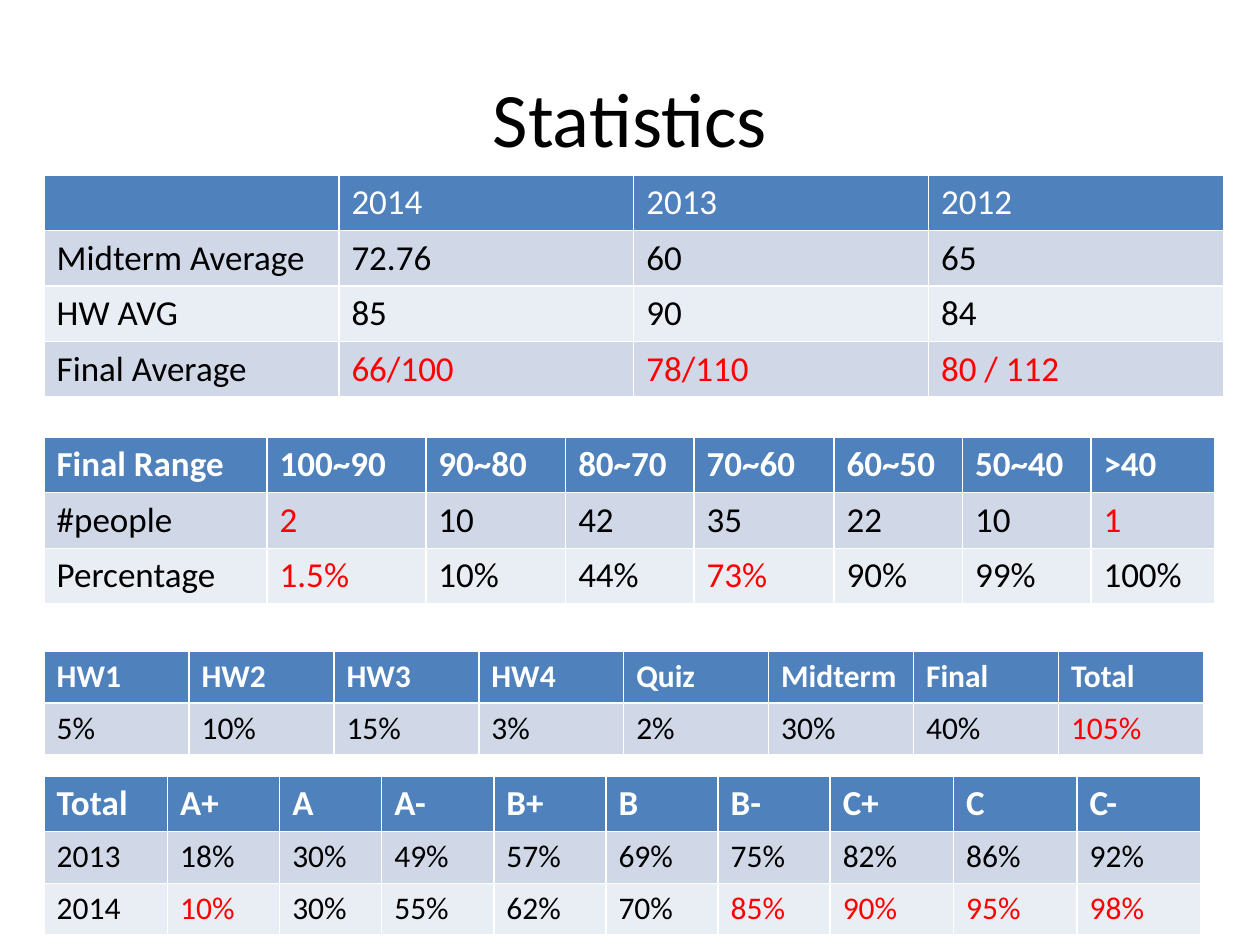
from pptx import Presentation
from pptx.dml.color import RGBColor
from pptx.enum.text import MSO_ANCHOR, PP_ALIGN
from pptx.util import Inches, Pt

CENTER = PP_ALIGN.CENTER
MIDDLE = MSO_ANCHOR.MIDDLE

BLACK = RGBColor(0x00, 0x00, 0x00)
WHITE = RGBColor(0xFF, 0xFF, 0xFF)
RED = RGBColor(0xFF, 0x00, 0x00)
HEADER_BLUE = RGBColor(0x4F, 0x81, 0xBD)
BAND_DARK = RGBColor(0xD0, 0xD8, 0xE8)
BAND_LIGHT = RGBColor(0xE9, 0xED, 0xF4)

FONT = "Calibri"
LEFT = 0.35

AVERAGES = [
    ["", "2014", "2013", "2012"],
    ["Midterm Average", "72.76", "60", "65"],
    ["HW AVG", "85", "90", "84"],
    ["Final Average", "66/100", "78/110", "80 / 112"],
]
FINAL_RANGES = [
    ["Final Range", "100~90", "90~80", "80~70", "70~60", "60~50", "50~40", ">40"],
    ["#people", "2", "10", "42", "35", "22", "10", "1"],
    ["Percentage", "1.5%", "10%", "44%", "73%", "90%", "99%", "100%"],
]
WEIGHTS = [
    ["HW1", "HW2", "HW3", "HW4", "Quiz", "Midterm", "Final", "Total"],
    ["5%", "10%", "15%", "3%", "2%", "30%", "40%", "105%"],
]
GRADES = [
    ["Total", "A+", "A", "A-", "B+", "B", "B-", "C+", "C", "C-"],
    ["2013", "18%", "30%", "49%", "57%", "69%", "75%", "82%", "86%", "92%"],
    ["2014", "10%", "30%", "55%", "62%", "70%", "85%", "90%", "95%", "98%"],
]


def format_text(text_frame, size, color, bold=False):
    """Apply one font style to every run of a text frame."""
    for paragraph in text_frame.paragraphs:
        for run in paragraph.runs:
            run.font.name = FONT
            run.font.size = Pt(size)
            run.font.color.rgb = color
            run.font.bold = bold


def place_title(slide, text, left, top, width, height):
    """Fill and position the title placeholder."""
    title = slide.shapes.title
    title.left, title.top = Inches(left), Inches(top)
    title.width, title.height = Inches(width), Inches(height)
    title.text_frame.text = text
    title.text_frame.vertical_anchor = MIDDLE
    title.text_frame.paragraphs[0].alignment = CENTER
    format_text(title.text_frame, 44, BLACK)


def add_statistics_table(slide, rows, top, widths, heights, red_cells,
                         header_size=20, body_size=20, header_bold=True):
    """Add a banded table whose red_cells are (row, column) pairs."""
    table = slide.shapes.add_table(
        len(rows), len(widths), Inches(LEFT), Inches(top),
        Inches(sum(widths)), Inches(sum(heights))).table
    for column, width in zip(table.columns, widths):
        column.width = Inches(width)
    for row_index, (values, height) in enumerate(zip(rows, heights)):
        table.rows[row_index].height = Inches(height)
        is_header = row_index == 0
        band = BAND_DARK if row_index % 2 else BAND_LIGHT
        for column_index, value in enumerate(values):
            cell = table.cell(row_index, column_index)
            cell.fill.solid()
            cell.fill.fore_color.rgb = HEADER_BLUE if is_header else band
            cell.text_frame.text = value
            if is_header:
                format_text(cell.text_frame, header_size, WHITE, header_bold)
            else:
                is_red = (row_index, column_index) in red_cells
                format_text(cell.text_frame, body_size, RED if is_red else BLACK)


def build_statistics_slide(presentation):
    """Add the slide with its title and four tables."""
    slide = presentation.slides.add_slide(presentation.slide_layouts[5])
    place_title(slide, "Statistics", 0, 0.3, 10, 1.25)
    add_statistics_table(
        slide, FINAL_RANGES, 3.47,
        [1.77, 1.26, 1.11, 1.02, 1.11, 1.02, 1.02, 0.98], [0.44] * 3,
        {(1, 1), (1, 7), (2, 1), (2, 4)})
    add_statistics_table(
        slide, AVERAGES, 1.39, [2.34] * 4, [0.44] * 4,
        {(3, 1), (3, 2), (3, 3)}, header_bold=False)
    add_statistics_table(
        slide, WEIGHTS, 5.17, [1.15] * 8, [0.41] * 2, {(1, 7)},
        header_size=18, body_size=18)
    add_statistics_table(
        slide, GRADES, 6.16,
        [0.98, 0.89, 0.81] + [0.89] * 4 + [0.98] * 3, [0.43, 0.41, 0.41],
        {(2, column) for column in (1, 6, 7, 8, 9)}, body_size=18)


def main():
    """Build and save the presentation."""
    presentation = Presentation()
    presentation.slide_width = Inches(10)
    presentation.slide_height = Inches(7.5)
    build_statistics_slide(presentation)
    presentation.save("out.pptx")


if __name__ == "__main__":
    main()
